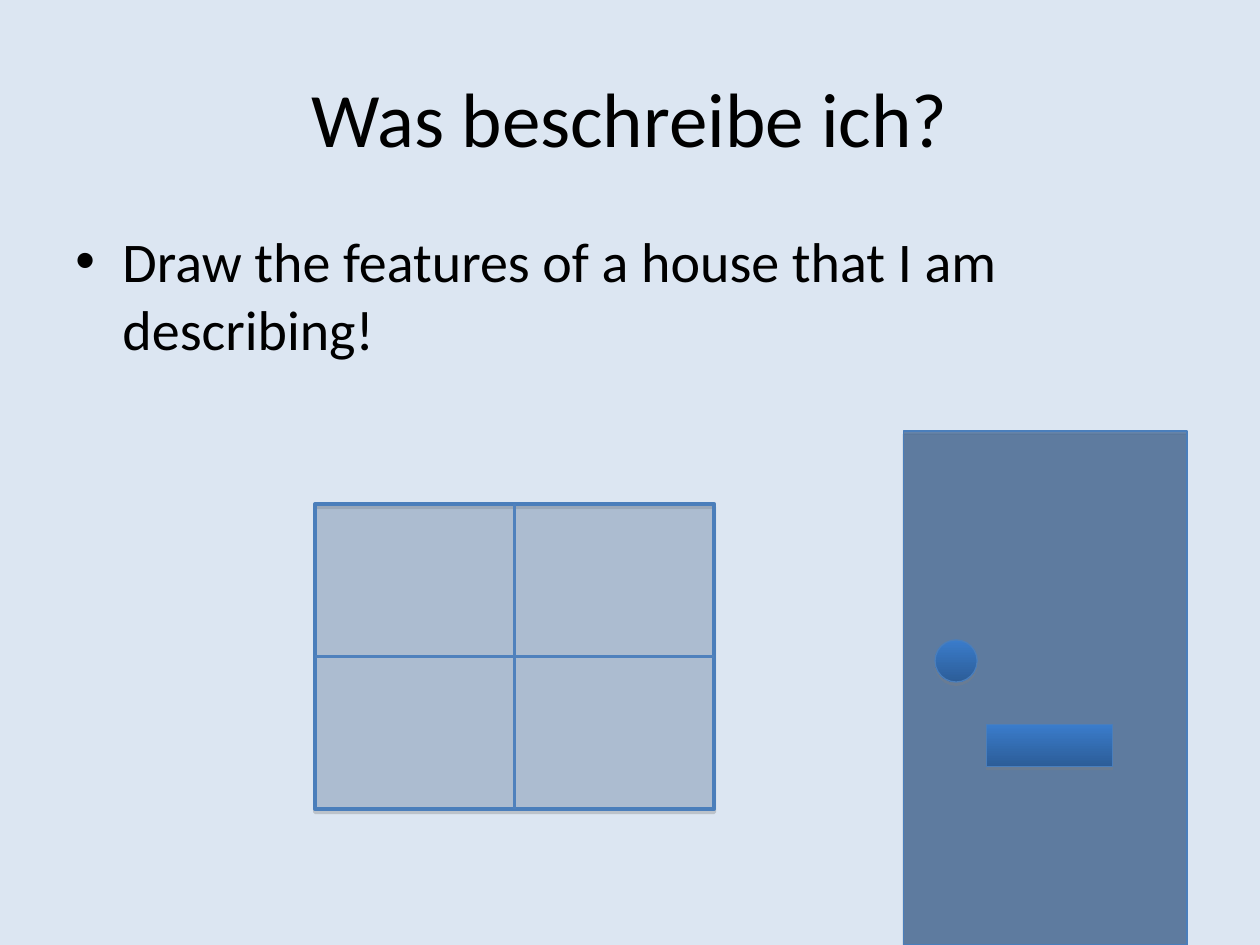
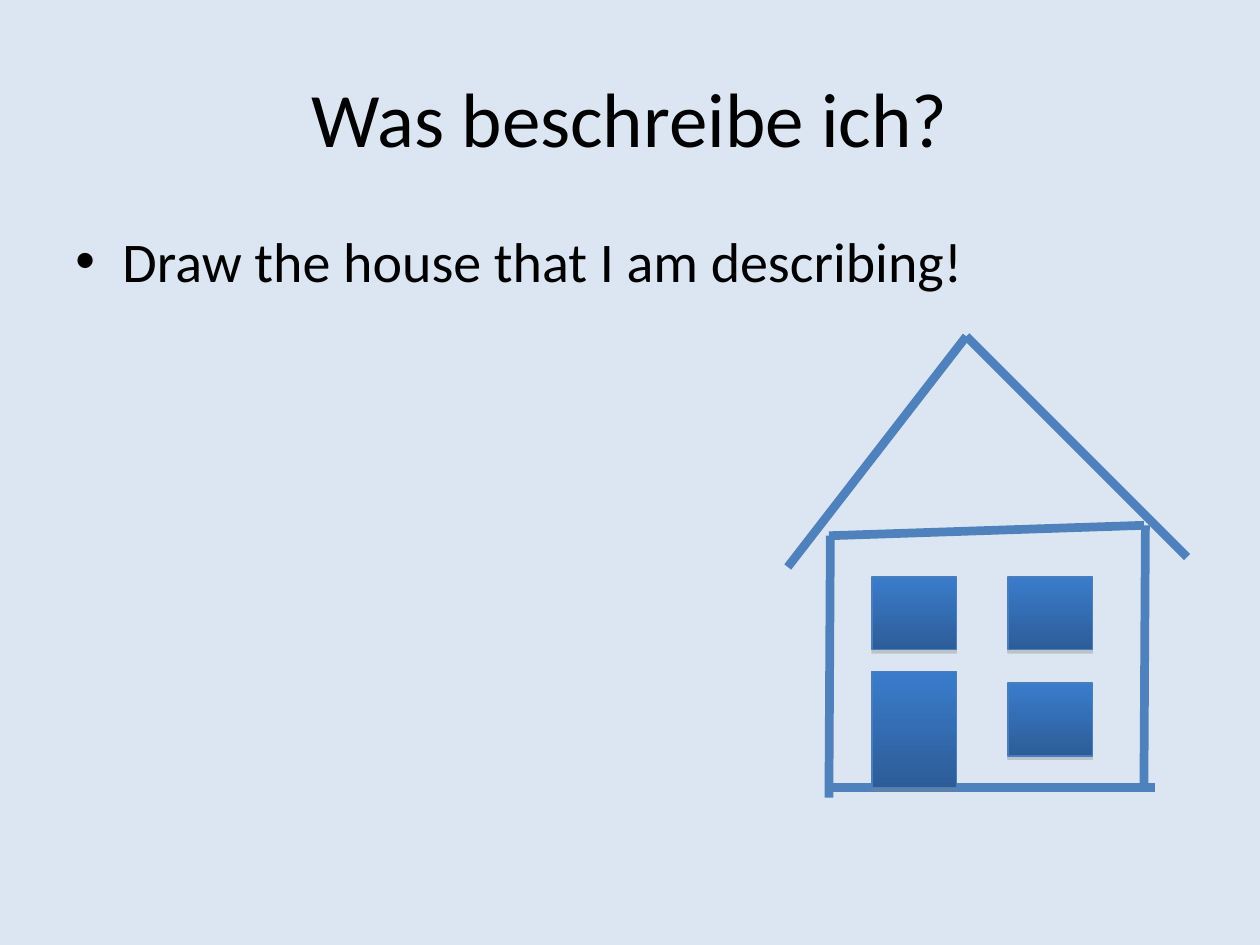
from pptx import Presentation
from pptx import util as u
from pptx.dml.color import RGBColor
from pptx.enum import shapes, text
from pptx.oxml.ns import qn
from lxml import etree

BACKGROUND = RGBColor(0xDC, 0xE6, 0xF2)
INK = RGBColor(0x00, 0x00, 0x00)
NAVY = RGBColor(0x1F, 0x49, 0x7D)
OUTLINE = RGBColor(0x4A, 0x7E, 0xBB)
STROKE = RGBColor(0x4F, 0x81, 0xBD)
GRADIENT = (RGBColor(0x3A, 0x7C, 0xCB), RGBColor(0x2C, 0x5D, 0x98))
SHADOW = RGBColor(0x80, 0x80, 0x80)
FONT = "Calibri"
RECT = shapes.MSO_SHAPE.RECTANGLE
OVAL = shapes.MSO_SHAPE.OVAL


def add_alpha(color, percent):
    etree.SubElement(color, qn("a:alpha"), val=str(percent * 1000))


class Deck:
    """Hold the shared style and the current slide."""

    def __init__(self):
        self.prs = Presentation()
        self.prs.slide_width, self.prs.slide_height = u.Cm(25.4), u.Cm(19.05)

    def slide(self, title):
        self.s = self.prs.slides.add_slide(self.prs.slide_layouts[5])
        self.s.background.fill.solid()
        self.s.background.fill.fore_color.rgb = BACKGROUND
        sp = self.s.shapes.title
        sp.left, sp.top, sp.width, sp.height = map(u.Cm, (1.27, 0.76, 22.86, 3.18))
        sp.text_frame.vertical_anchor = text.MSO_ANCHOR.MIDDLE
        p = sp.text_frame.paragraphs[0]
        p.alignment = text.PP_ALIGN.CENTER
        self.run(p, title, 44)

    def run(self, p, words, size):
        r = p.add_run()
        r.text = words
        r.font.name, r.font.size = FONT, u.Pt(size)
        r.font.color.rgb = INK

    def bullet(self, words):
        sp = self.s.shapes.add_textbox(*map(u.Cm, (1.27, 4.45, 22.86, 12.57)))
        tf = sp.text_frame
        tf.word_wrap = True
        p = tf.paragraphs[0]
        pPr = p._p.get_or_add_pPr()
        pPr.set("marL", str(u.Cm(0.95)))
        pPr.set("indent", str(-u.Cm(0.95)))
        etree.SubElement(pPr, qn("a:buFont"), typeface="Arial")
        etree.SubElement(pPr, qn("a:buChar"), char="•")
        self.run(p, words, 32)

    def shape(self, x, y, w, h, kind=RECT, opacity=None, line=0.75):
        sp = self.s.shapes.add_shape(kind, *map(u.Cm, (x, y, w, h)))
        if opacity is None:
            sp.fill.gradient()
            sp.fill.gradient_angle = 270
            for stop, color in zip(sp.fill.gradient_stops, GRADIENT):
                stop.color.rgb = color
        else:
            sp.fill.solid()
            sp.fill.fore_color.rgb = NAVY
            add_alpha(sp._element.spPr.find(".//" + qn("a:srgbClr")), opacity)
        sp.line.color.rgb, sp.line.width = OUTLINE, u.Pt(line)
        sp.shadow.inherit = False
        effects = sp._element.spPr.find(qn("a:effectLst"))
        outer = etree.SubElement(effects, qn("a:outerShdw"), blurRad="0",
                                 dist=str(u.Pt(1.8)), dir="5400000", rotWithShape="0")
        add_alpha(etree.SubElement(outer, qn("a:srgbClr"), val=str(SHADOW)), 35)
        return sp

    def line(self, x1, y1, x2, y2, width=5):
        c = self.s.shapes.add_connector(shapes.MSO_CONNECTOR.STRAIGHT,
                                        *map(u.Cm, (x1, y1, x2, y2)))
        c.line.color.rgb, c.line.width = STROKE, u.Pt(width)
        etree.SubElement(c._element.spPr, qn("a:effectLst"))
        return c

    def crossbar(self, sp, start, end):
        c = self.line(0, 0, 0, 0, width=2)
        c.begin_connect(sp, start)
        c.end_connect(sp, end)


def main():
    deck = Deck()
    title = "Was beschreibe ich?"

    deck.slide(title)
    deck.bullet("Draw the features of a house that I am describing!")
    window = deck.shape(6.35, 10.16, 8.05, 6.15, opacity=22, line=2.25)
    deck.crossbar(window, 0, 2)
    deck.crossbar(window, 1, 3)
    deck.shape(18.21, 8.69, 5.72, 10.36, opacity=62)
    deck.shape(18.85, 12.9, 0.85, 0.85, kind=OVAL)
    deck.shape(19.89, 14.6, 2.54, 0.85)

    deck.slide(title)
    left_wall = (16.74, 10.8, 16.71, 16.08)
    right_wall = (23.09, 10.59, 23.06, 15.88)
    floor = (23.29, 15.88, 16.71, 15.88)
    left_roof = (19.48, 6.78, 15.88, 11.43)
    right_roof = (19.48, 6.78, 23.93, 11.23)
    ceiling = (23.06, 10.59, 16.71, 10.8)
    for edge in (left_wall, right_wall, floor, left_roof, right_roof, ceiling):
        deck.line(*edge)
    for x, y in ((17.58, 11.63), (20.32, 11.63), (20.32, 13.77)):
        deck.shape(x, y, 1.7, 1.47)
    deck.shape(17.58, 13.54, 1.7, 2.34)
    deck.bullet("Draw the house that I am describing!")

    deck.prs.save("out.pptx")


if __name__ == "__main__":
    main()
